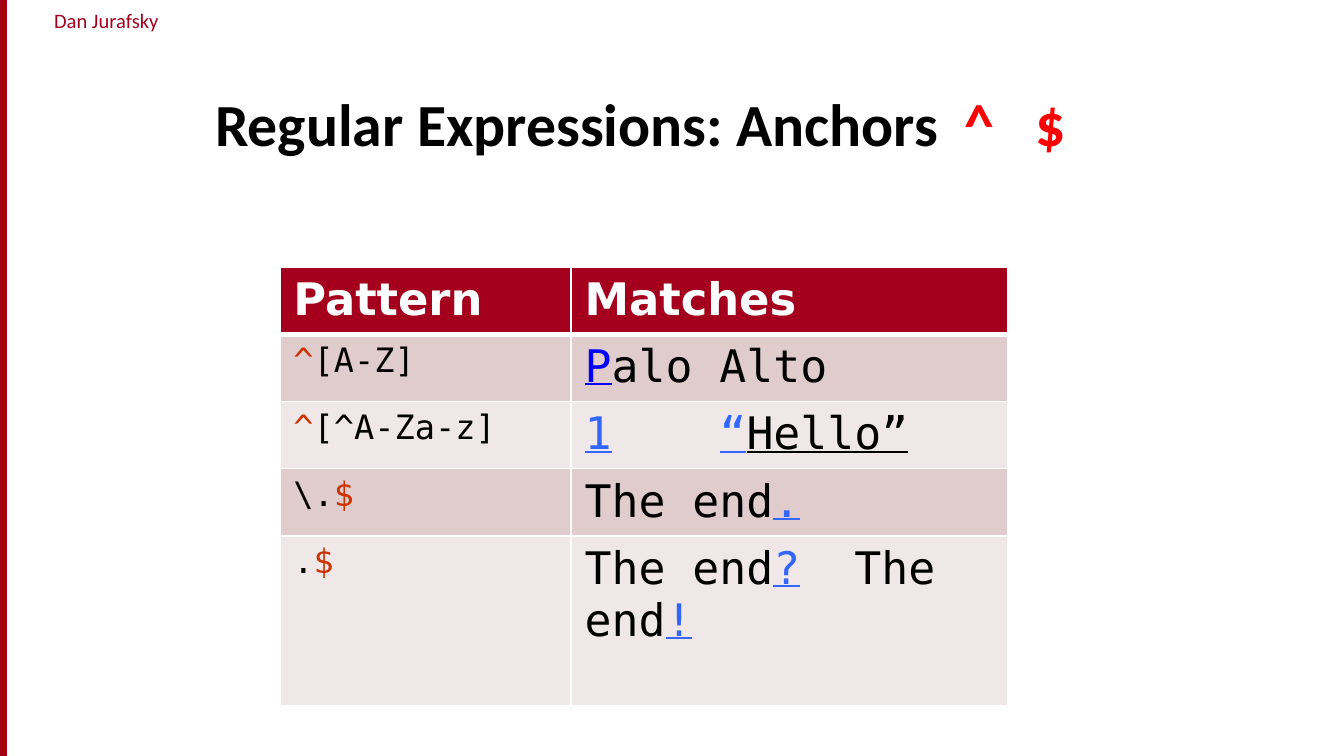
from lxml.etree import SubElement
from pptx import Presentation
from pptx.dml.color import RGBColor
from pptx.enum.shapes import MSO_SHAPE as Preset
from pptx.enum.text import MSO_ANCHOR as Anchor, MSO_AUTO_SIZE as AutoSize, PP_ALIGN as Align
from pptx.oxml.ns import qn
from pptx.util import Pt

CRIMSON, WHITE, BLACK = "A4001D", "FFFFFF", "000000"
ANCHOR, MATCH = "CC3300", "3366FF"
BANDS = ["E0CCCD", "F0E7E8"]
SANS, MONO = "DejaVu Sans", "DejaVu Sans Mono"


def color(value):
    """Turn a hex string into a colour."""
    return RGBColor.from_string(value)


class SlideBuilder:
    """Hold the style and the current slide."""

    def __init__(self, deck, font="Calibri"):
        """Add a title-only slide to the deck."""
        self.page = deck.slides.add_slide(deck.slide_layouts[5])
        self.font = font

    def fill_para(self, para, spans, size, font=None, bold=False, tabs=()):
        """Fill a paragraph with (text, colour, underlined) spans."""
        para.font.size, para.font.bold = Pt(size), bold
        para.font.name = font or self.font
        if tabs:
            tab_list = para._p.get_or_add_pPr().makeelement(qn("a:tabLst"), {})
            para.font._element.addprevious(tab_list)
            for stop in tabs:
                SubElement(tab_list, qn("a:tab"), pos=str(Pt(stop)), algn="l")
        for text, shade, underlined in spans:
            span = para.add_run()
            span.text = text
            span.font.color.rgb = color(shade)
            if underlined:
                span.font.underline = True

    def title(self, spans, place, size, tabs):
        """Move and fill the title placeholder."""
        box = self.page.shapes.title
        box.left, box.top, box.width, box.height = map(Pt, place)
        frame = box.text_frame
        frame.vertical_anchor, frame.auto_size = Anchor.BOTTOM, AutoSize.NONE
        para = frame.paragraphs[0]
        para.alignment = Align.LEFT
        self.fill_para(para, spans, size, bold=True, tabs=tabs)

    def label(self, text, place, size, shade):
        """Add a centred text box."""
        frame = self.page.shapes.add_textbox(*map(Pt, place)).text_frame
        frame.word_wrap = True
        frame.margin_left = frame.margin_right = 0
        frame.paragraphs[0].alignment = Align.CENTER
        self.fill_para(frame.paragraphs[0], [(text, shade, False)], size)

    def bar(self, place, fill, line):
        """Add a filled rectangle with a thin outline."""
        box = self.page.shapes.add_shape(Preset.RECTANGLE, *map(Pt, place))
        box.shadow.inherit = False
        box.fill.solid()
        box.fill.fore_color.rgb = color(fill)
        box.line.color.rgb, box.line.width = color(line), Pt(0.75)

    def table(self, left, top, widths, heights):
        """Add an empty table with the given columns and rows."""
        grid = self.page.shapes.add_table(
            len(heights), len(widths), Pt(left), Pt(top),
            Pt(sum(widths)), Pt(sum(heights))).table
        for column, width in zip(grid.columns, widths):
            column.width = Pt(width)
        for row, height in zip(grid.rows, heights):
            row.height = Pt(height)
        return grid

    def cell(self, cell, fill, edges, spans, size, font, bold=False, tabs=()):
        """Fill a cell and draw its white edges (side: width)."""
        properties = cell._tc.get_or_add_tcPr()
        for side, width in edges.items():
            line = SubElement(properties, qn("a:ln" + side), w=str(Pt(width)))
            solid = SubElement(line, qn("a:solidFill"))
            SubElement(solid, qn("a:srgbClr"), val=WHITE)
        cell.fill.solid()
        cell.fill.fore_color.rgb = color(fill)
        self.fill_para(cell.text_frame.paragraphs[0], spans, size, font, bold, tabs)


def plain(text, shade=BLACK):
    """Make a span without a line below."""
    return text, shade, False


def matched(text, shade=MATCH):
    """Make an underlined span."""
    return text, shade, True


HEADINGS = ["Pattern", "Matches"]
EXAMPLES = [
    ([plain("^", ANCHOR), plain("[A-Z]")],
     [matched("P", "0000FF"), plain("alo Alto")], ()),
    ([plain("^", ANCHOR), plain("[^A-Za-z]")],
     [matched("1"), plain("\t"), matched("“"), matched("Hello”", BLACK)], (72.25,)),
    ([plain("\\."), plain("$", ANCHOR)],
     [plain("The end"), matched(".")], ()),
    ([plain("."), plain("$", ANCHOR)],
     [plain("The end"), matched("?"), plain("\tThe end"), matched("!")], (144.5,)),
]


def main():
    """Build the slide and save it."""
    deck = Presentation()
    deck.slide_width, deck.slide_height = Pt(720), Pt(405)
    slide = SlideBuilder(deck)
    slide.label("Dan Jurafsky", (6, 0.5, 102, 21), 11, CRIMSON)
    slide.bar((0, 0, 3.5, 405), "A40508", CRIMSON)
    slide.title([plain("Regular Expressions: Anchors"), plain("\t^\t$", "FF0000")],
                (108, 30, 588, 58.5), 32, tabs=(401.5, 439.5))

    grid = slide.table(150, 143, [156, 234], [34.5, 35, 35, 35, 91])
    thin = dict.fromkeys("LRTB", 1)
    for column, heading in enumerate(HEADINGS):
        slide.cell(grid.cell(0, column), CRIMSON, {**thin, "B": 3},
                   [plain(heading, WHITE)], 24, SANS, bold=True)
    for row, (pattern, matches, tabs) in enumerate(EXAMPLES, start=1):
        band = BANDS[(row - 1) % 2]
        edges = {**thin, "T": 3 if row == 1 else 1}
        slide.cell(grid.cell(row, 0), band, edges, pattern, 18, MONO)
        slide.cell(grid.cell(row, 1), band, edges, matches, 24, MONO, tabs=tabs)
    deck.save("out.pptx")


main()
